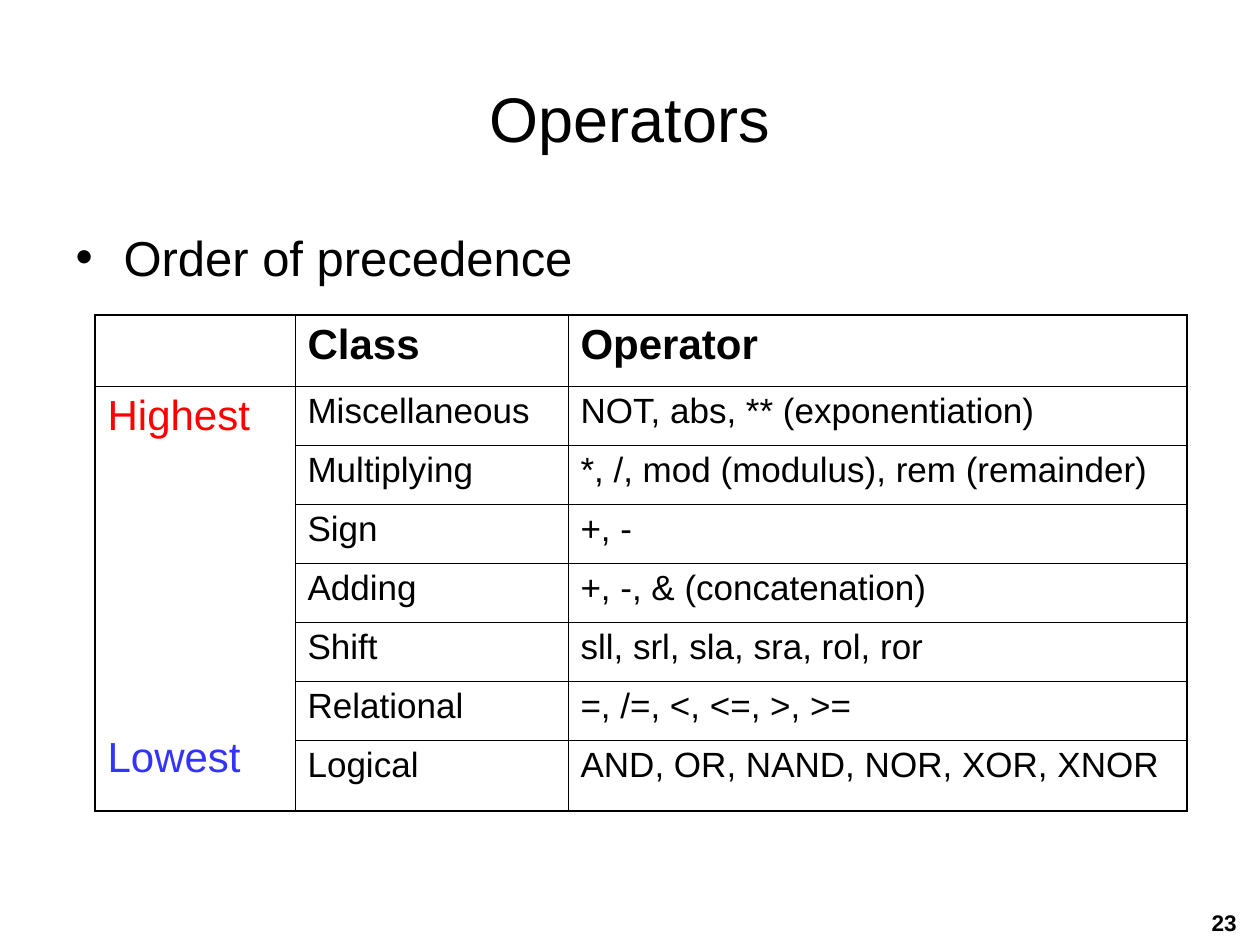
"""Build the slide on operator precedence."""
from dataclasses import dataclass

from lxml import etree
from pptx import Presentation
from pptx.dml.color import RGBColor
from pptx.enum.text import MSO_ANCHOR, MSO_AUTO_SIZE, PP_ALIGN
from pptx.oxml.ns import qn
from pptx.util import Emu, Pt

PIXEL = 914400 // 126
BLACK = RGBColor(0x00, 0x00, 0x00)
RED = RGBColor(0xFF, 0x00, 0x00)
BLUE = RGBColor(0x33, 0x33, 0xFF)
LEFT, CENTER, RIGHT = PP_ALIGN.LEFT, PP_ALIGN.CENTER, PP_ALIGN.RIGHT
TOP, MIDDLE = MSO_ANCHOR.TOP, MSO_ANCHOR.MIDDLE
FIXED_SIZE = MSO_AUTO_SIZE.NONE
FONT = "Arial"
THIN, THICK = Pt(0.45), Pt(1.08)
COLUMN_WIDTHS = (200, 273, 619)
ROW_HEIGHTS = (71, *[59] * 6, 71)


@dataclass
class Line:
    """One paragraph of formatted text."""
    text: str
    size: float
    color: RGBColor = BLACK
    bold: bool = False
    before: float = 0
    align: PP_ALIGN = LEFT


@dataclass
class OperatorClass:
    """One row of the precedence table."""
    name: str
    operators: str


CLASSES = (
    OperatorClass("Miscellaneous", "NOT, abs, ** (exponentiation)"),
    OperatorClass("Multiplying", "*, /, mod (modulus), rem (remainder)"),
    OperatorClass("Sign", "+, -"),
    OperatorClass("Adding", "+, -, & (concatenation)"),
    OperatorClass("Shift", "sll, srl, sla, sra, rol, ror"),
    OperatorClass("Relational", "=, /=, <, <=, >, >="),
    OperatorClass("Logical", "AND, OR, NAND, NOR, XOR, XNOR"),
)


def px(length: int) -> Emu:
    """Turn pixels into EMU."""
    return Emu(length * PIXEL)


def write(frame, *lines: Line) -> None:
    """Write the lines into a text frame."""
    for index, line in enumerate(lines):
        paragraph = frame.add_paragraph() if index else frame.paragraphs[0]
        paragraph.alignment = line.align
        paragraph.space_before = Pt(line.before)
        run = paragraph.add_run()
        run.text = line.text
        run.font.name = FONT
        run.font.size = Pt(line.size)
        run.font.bold = line.bold
        run.font.color.rgb = line.color


def place(shape, left: int, top: int, width: int, height: int, anchor: MSO_ANCHOR) -> None:
    """Move a text shape and fix how its text fits."""
    shape.left, shape.top = px(left), px(top)
    shape.width, shape.height = px(width), px(height)
    shape.text_frame.word_wrap = True
    shape.text_frame.auto_size = FIXED_SIZE
    shape.text_frame.vertical_anchor = anchor


def add_bullet(paragraph) -> None:
    """Give a paragraph a hanging round bullet."""
    properties = paragraph._p.get_or_add_pPr()
    properties.set("marL", str(px(48)))
    properties.set("indent", str(-px(48)))
    etree.SubElement(properties, qn("a:buFont"), typeface=FONT)
    etree.SubElement(properties, qn("a:buChar"), char="•")


def add_borders(cell, row: int, column: int) -> None:
    """Draw thin inner and thick outer borders around a cell."""
    outer_edges = {
        "a:lnL": column == 0,
        "a:lnR": column == len(COLUMN_WIDTHS) - 1,
        "a:lnT": row == 0,
        "a:lnB": row == len(ROW_HEIGHTS) - 1 or (row > 0 and column == 0),
    }
    properties = cell._tc.get_or_add_tcPr()
    for position, (tag, outer) in enumerate(outer_edges.items()):
        border = etree.Element(qn(tag), w=str(THICK if outer else THIN))
        fill = etree.SubElement(border, qn("a:solidFill"))
        etree.SubElement(fill, qn("a:srgbClr"), val=str(BLACK))
        properties.insert(position, border)


def add_precedence_table(slide) -> None:
    """Add the table of operator classes, highest first."""
    table = slide.shapes.add_table(
        len(ROW_HEIGHTS), len(COLUMN_WIDTHS), px(95), px(315),
        px(sum(COLUMN_WIDTHS)), px(sum(ROW_HEIGHTS))).table
    table.first_row = table.horz_banding = False
    for column, width in zip(table.columns, COLUMN_WIDTHS):
        column.width = px(width)
    for row, height in zip(table.rows, ROW_HEIGHTS):
        row.height = px(height)
    for row in range(len(ROW_HEIGHTS)):
        for column in range(len(COLUMN_WIDTHS)):
            cell = table.cell(row, column)
            cell.fill.background()
            add_borders(cell, row, column)
    table.cell(1, 0).merge(table.cell(len(CLASSES), 0))
    write(table.cell(1, 0).text_frame,
          Line("Highest", 24, RED, before=6), Line("Lowest", 24, BLUE, before=169))
    for column, heading in enumerate(("Class", "Operator"), 1):
        write(table.cell(0, column).text_frame, Line(heading, 24, bold=True, before=6))
    for row, entry in enumerate(CLASSES, 1):
        for column, text in enumerate((entry.name, entry.operators), 1):
            write(table.cell(row, column).text_frame, Line(text, 20, before=5))


def main() -> None:
    """Build and save the slide."""
    presentation = Presentation()
    presentation.slide_width, presentation.slide_height = px(1260), px(945)
    slide = presentation.slides.add_slide(presentation.slide_layouts[1])
    title, body = slide.shapes.title, slide.placeholders[1]
    place(title, 63, 38, 1134, 158, MIDDLE)
    write(title.text_frame, Line("Operators", 36, align=CENTER))
    place(body, 63, 221, 557, 624, TOP)
    write(body.text_frame, Line("Order of precedence", 28, before=7))
    add_bullet(body.text_frame.paragraphs[0])
    add_precedence_table(slide)
    page_number = slide.shapes.add_textbox(0, 0, 0, 0)
    place(page_number, 1144, 903, 105, 42, TOP)
    write(page_number.text_frame, Line("23", 12.9, bold=True, align=RIGHT))
    presentation.save("out.pptx")


main()
